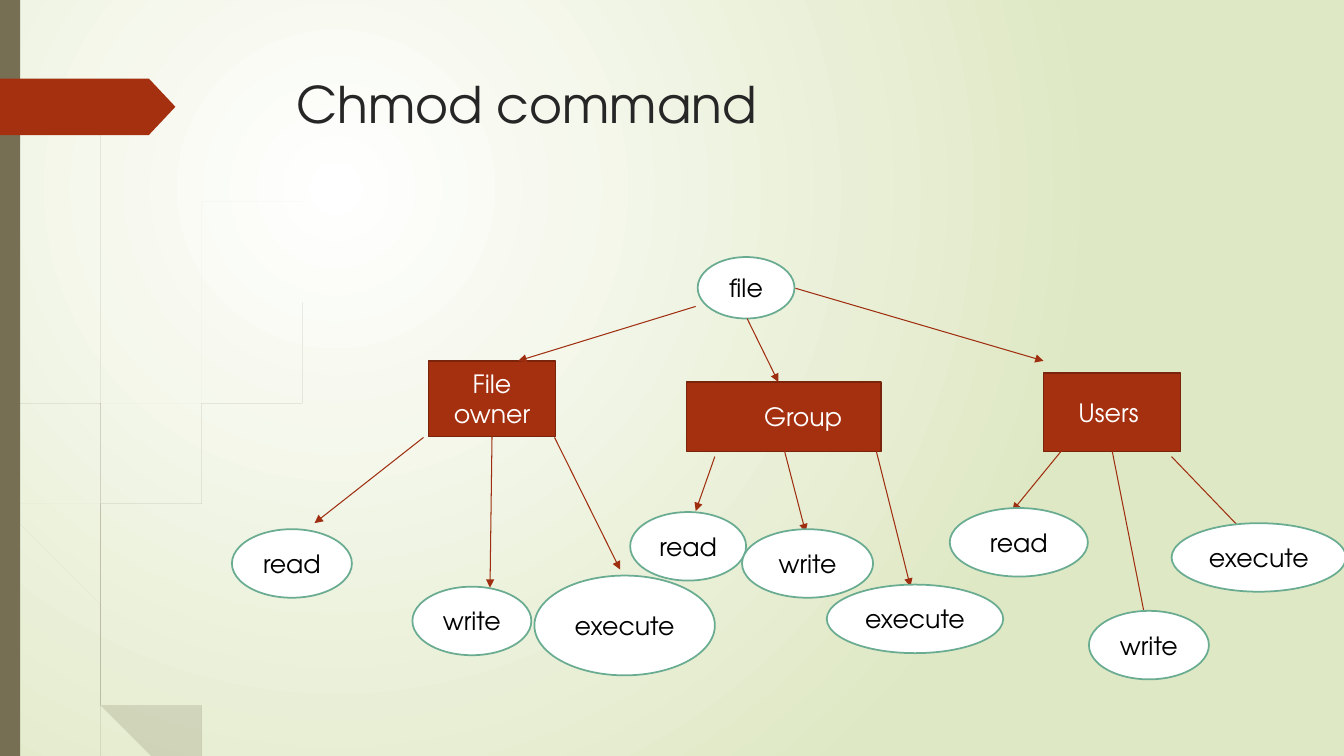
from lxml import etree
from pptx import Presentation
from pptx.dml.color import RGBColor
from pptx.enum.shapes import MSO_CONNECTOR, MSO_SHAPE
from pptx.enum.text import MSO_ANCHOR, MSO_AUTO_SIZE, PP_ALIGN
from pptx.oxml.ns import qn
from pptx.util import Inches, Pt

OVAL, BOX, TAG = MSO_SHAPE.OVAL, MSO_SHAPE.RECTANGLE, MSO_SHAPE.PENTAGON
STRAIGHT = MSO_CONNECTOR.STRAIGHT
LEFT, CENTER = PP_ALIGN.LEFT, PP_ALIGN.CENTER
TOP, MIDDLE = MSO_ANCHOR.TOP, MSO_ANCHOR.MIDDLE
NO_FIT = MSO_AUTO_SIZE.NONE

# Each stem is a list of (y, left edge, right edge).
PALE_STEMS = [
    [(2.9, 0, 0.02), (3.47, 0.1, 0.11), (3.76, 0.15, 0.17), (4.7, 0.28, 0.31),
     (6.2, 0.65, 0.7), (6.88, 0.9, 0.95), (7.14, 1.01, 1.06), (7.5, 1.14, 1.24)],
    [(3.45, 0.14, 0.14), (3.76, 0.17, 0.21), (5.21, 0.58, 0.62), (5.95, 0.83, 0.88),
     (6.93, 1.23, 1.27), (7.5, 1.5, 1.55)],
    [(1.53, 3.12, 3.12), (1.97, 2.68, 2.69), (2.44, 2.28, 2.3), (3.48, 1.58, 1.61),
     (4.61, 1.07, 1.1), (5.84, 0.85, 0.88), (6.46, 0.87, 0.91), (6.83, 0.93, 0.97),
     (7.11, 1.05, 1.05)],
]
DARK_STEMS = [
    [(0, 0.03, 0.04), (1.1, 0.07, 0.08), (2.33, 0.17, 0.19), (3.55, 0.33, 0.36),
     (4.77, 0.56, 0.59), (5.57, 0.68, 0.72), (6.58, 0.93, 0.98), (7.08, 1.11, 1.16),
     (7.5, 1.27, 1.36)],
    [(1.41, 0.7, 0.7), (1.93, 0.62, 0.63), (2.45, 0.56, 0.58), (3.49, 0.52, 0.54),
     (4.5, 0.55, 0.58), (5.05, 0.63, 0.67), (5.91, 0.88, 0.93), (6.4, 1.05, 1.1),
     (7.07, 1.32, 1.36), (7.5, 1.52, 1.57)],
    [(3.44, 2.6, 2.6), (3.73, 2.31, 2.32), (4.05, 2.04, 2.06), (4.75, 1.56, 1.59),
     (5.51, 1.22, 1.25), (6.32, 1.06, 1.11), (6.9, 1.1, 1.16), (7.19, 1.21, 1.22)],
]
ARROWS = [
    (6.9, 3.04, 5.14, 3.58), (7.41, 3.16, 7.72, 3.79), (7.89, 2.86, 10.35, 3.58),
    (4.2, 4.34, 3.12, 5.19), (4.88, 4.33, 4.86, 5.83), (5.5, 4.34, 6.15, 5.65),
    (7.09, 4.53, 6.9, 5.07), (7.78, 4.47, 7.99, 5.28), (8.69, 4.47, 9.03, 5.82),
    (10.53, 4.47, 10.04, 5.07), (11.03, 4.47, 11.36, 6.14), (11.62, 4.53, 12.34, 5.28),
]
PERMISSIONS = [
    ("read", 2.3, 5.25, 1.19, 0.68), ("execute", 8.2, 5.8, 1.75, 0.68),
    ("read", 9.42, 5.04, 1.37, 0.68), ("write", 10.8, 6.06, 1.19, 0.68),
    ("execute", 11.62, 5.19, 1.73, 0.68), ("execute", 5.3, 5.71, 1.79, 0.99),
    ("write", 4.09, 5.82, 1.18, 0.68), ("read", 6.25, 5.08, 1.15, 0.68),
    ("write", 7.36, 5.25, 1.3, 0.68),
]


def rgb(value):
    return RGBColor.from_string(value)


def smooth(points, steps=8):
    """Sample a Catmull-Rom curve through the points."""
    padded = [points[0], *points, points[-1]]
    curve = []
    for a, b, c, d in zip(padded, padded[1:], padded[2:], padded[3:]):
        for step in range(steps):
            t = step / steps
            curve.append(tuple(
                q + 0.5 * t * (r - p + t * (2 * p - 5 * q + 4 * r - s
                                            + t * (3 * (q - r) + s - p)))
                for p, q, r, s in zip(a, b, c, d)))
    return curve + [points[-1]]


class TreeSlide:
    FONT = "TeX Gyre Adventor"
    BROWN, RED = "766F54", "A53010"

    def __init__(self, deck):
        self.slide = deck.slides.add_slide(deck.slide_layouts[1])
        self.shapes = self.slide.shapes

    def background(self, inner, outer):
        fill = self.slide.background.fill
        fill.gradient()
        for stop, color in zip(fill.gradient_stops, (inner, outer)):
            stop.color.rgb = rgb(color)
        gradient = next(self.slide.element.iter(qn("a:gradFill")))
        gradient.remove(gradient.find(qn("a:lin")))
        radial = etree.SubElement(gradient, qn("a:path"), path="circle")
        etree.SubElement(radial, qn("a:fillToRect"),
                         l="50000", t="50000", r="100000", b="100000")

    def paint(self, shape, fill, line=None):
        shape.shadow.inherit = False
        shape.fill.solid()
        shape.fill.fore_color.rgb = rgb(fill)
        if line:
            shape.line.color.rgb = rgb(line)
            shape.line.width = Pt(1.25)
        else:
            shape.line.fill.background()

    def label(self, shape, text, size, color, align=CENTER, anchor=MIDDLE):
        frame = shape.text_frame
        frame.text = text
        frame.word_wrap = True
        frame.auto_size = NO_FIT
        frame.vertical_anchor = anchor
        paragraph = frame.paragraphs[0]
        paragraph.alignment = align
        paragraph.space_before = Pt(0)
        paragraph.font.name = self.FONT
        paragraph.font.size = Pt(size)
        paragraph.font.color.rgb = rgb(color)

    def shape(self, kind, place, fill, line=None):
        shape = self.shapes.add_shape(kind, *map(Inches, place))
        self.paint(shape, fill, line)
        return shape

    def stem(self, rows, opacity=100):
        left = smooth([(x, y) for y, x, _ in rows])
        right = smooth([(x, y) for y, _, x in rows])
        start, *outline = left + right[::-1]
        builder = self.shapes.build_freeform(*start, scale=Inches(1))
        builder.add_line_segments(outline)
        stem = builder.convert_to_shape()
        self.paint(stem, self.BROWN)
        if opacity < 100:
            color = next(stem.element.spPr.iter(qn("a:srgbClr")))
            etree.SubElement(color, qn("a:alpha"), val=str(opacity * 1000))

    def arrow(self, ends):
        arrow = self.shapes.add_connector(STRAIGHT, *map(Inches, ends))
        arrow.line.color.rgb = rgb("9E2E0F")
        arrow.line.width = Pt(0.75)
        properties = arrow.element.spPr
        etree.SubElement(properties.find(qn("a:ln")), qn("a:tailEnd"), type="triangle")
        etree.SubElement(properties, qn("a:effectLst"))

    def oval(self, text, *place):
        self.label(self.shape(OVAL, place, "FFFFFF", "6AAC91"), text, 18, "000000")

    def box(self, text, *place):
        box = self.shape(BOX, place, self.RED, "7A240C")
        self.label(box, text, 18, "FFFFFF")

    def place(self, holder, *place):
        holder.left, holder.top, holder.width, holder.height = map(Inches, place)

    def title(self, text, *place):
        self.place(self.shapes.title, *place)
        self.label(self.shapes.title, text, 36, "262626", LEFT, TOP)

    def body_box(self, text, *place):
        """Fill the body placeholder as a box with indented text."""
        body = self.slide.placeholders[1]
        self.place(body, *place)
        self.paint(body, self.RED, "7A240C")
        self.label(body, text, 18, "FFFFFF")
        indent = next(body.element.iter(qn("a:pPr")))
        indent.set("marL", str(Inches(0.38)))
        indent.set("indent", "0")
        # Bullet settings must stand before the default run properties.
        indent.find(qn("a:defRPr")).addprevious(etree.Element(qn("a:buNone")))


def main():
    deck = Presentation()
    deck.slide_width, deck.slide_height = Inches(13.33), Inches(7.5)
    tree = TreeSlide(deck)
    tree.background("FFFFFF", "DFE8C4")
    for rows in PALE_STEMS:
        tree.stem(rows, opacity=20)
    for rows in DARK_STEMS:
        tree.stem(rows)
    tree.shape(BOX, (0, 0, 0.2, 7.5), tree.BROWN)
    tag = tree.shape(TAG, (0, 0.78, 1.74, 0.56), tree.RED)
    tag.adjustments[0] = 0.47

    tree.title("Chmod command", 2.84, 0.68, 9.75, 1.4)
    tree.oval("file", 6.92, 2.55, 0.96, 0.61)
    tree.box("File owner", 4.25, 3.58, 1.26, 0.75)
    tree.body_box("Group", 6.81, 3.79, 1.93, 0.69)
    tree.box("Users ", 10.35, 3.7, 1.36, 0.78)
    for ends in ARROWS:
        tree.arrow(ends)
    for permission in PERMISSIONS:
        tree.oval(*permission)
    deck.save("out.pptx")


if __name__ == "__main__":
    main()
